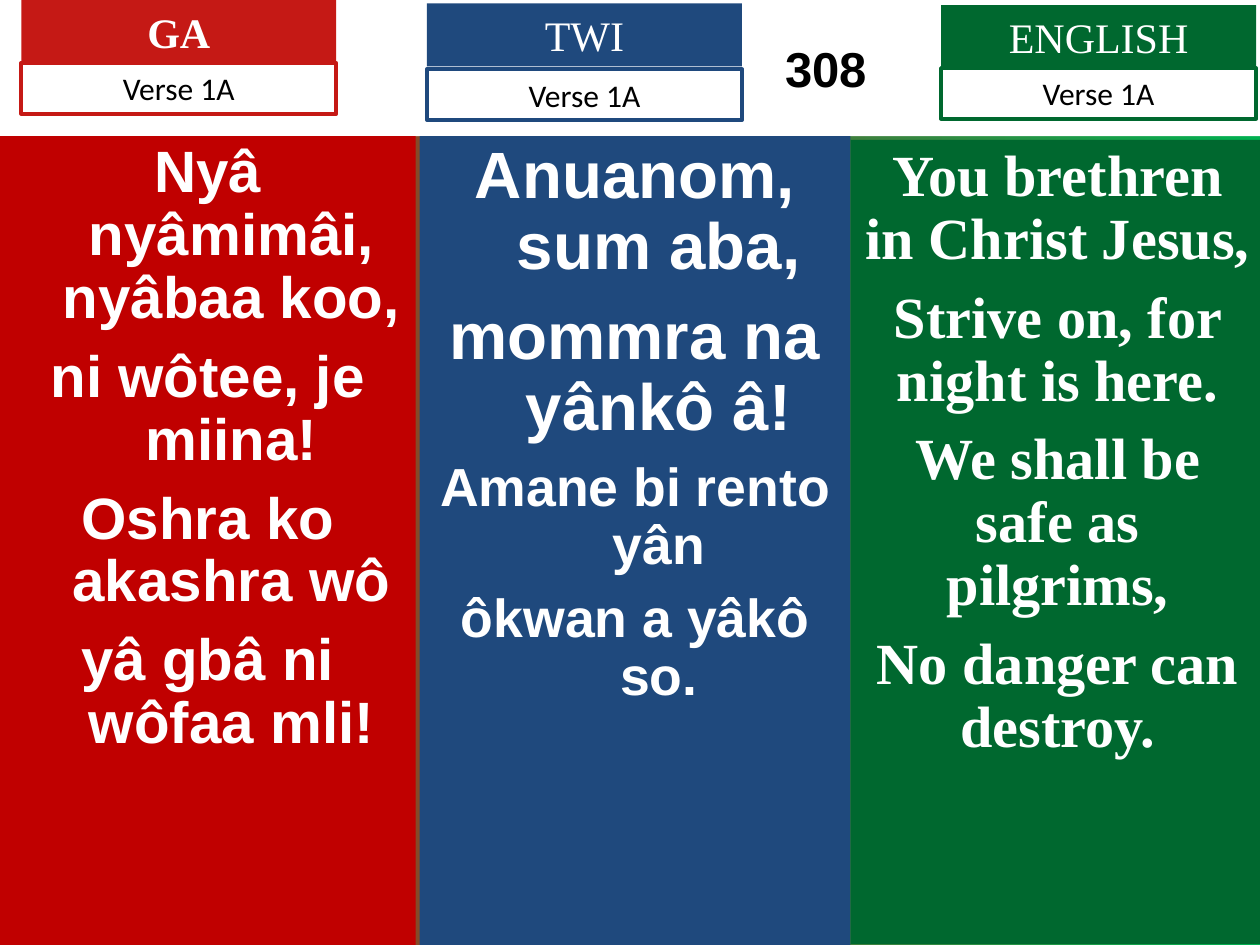
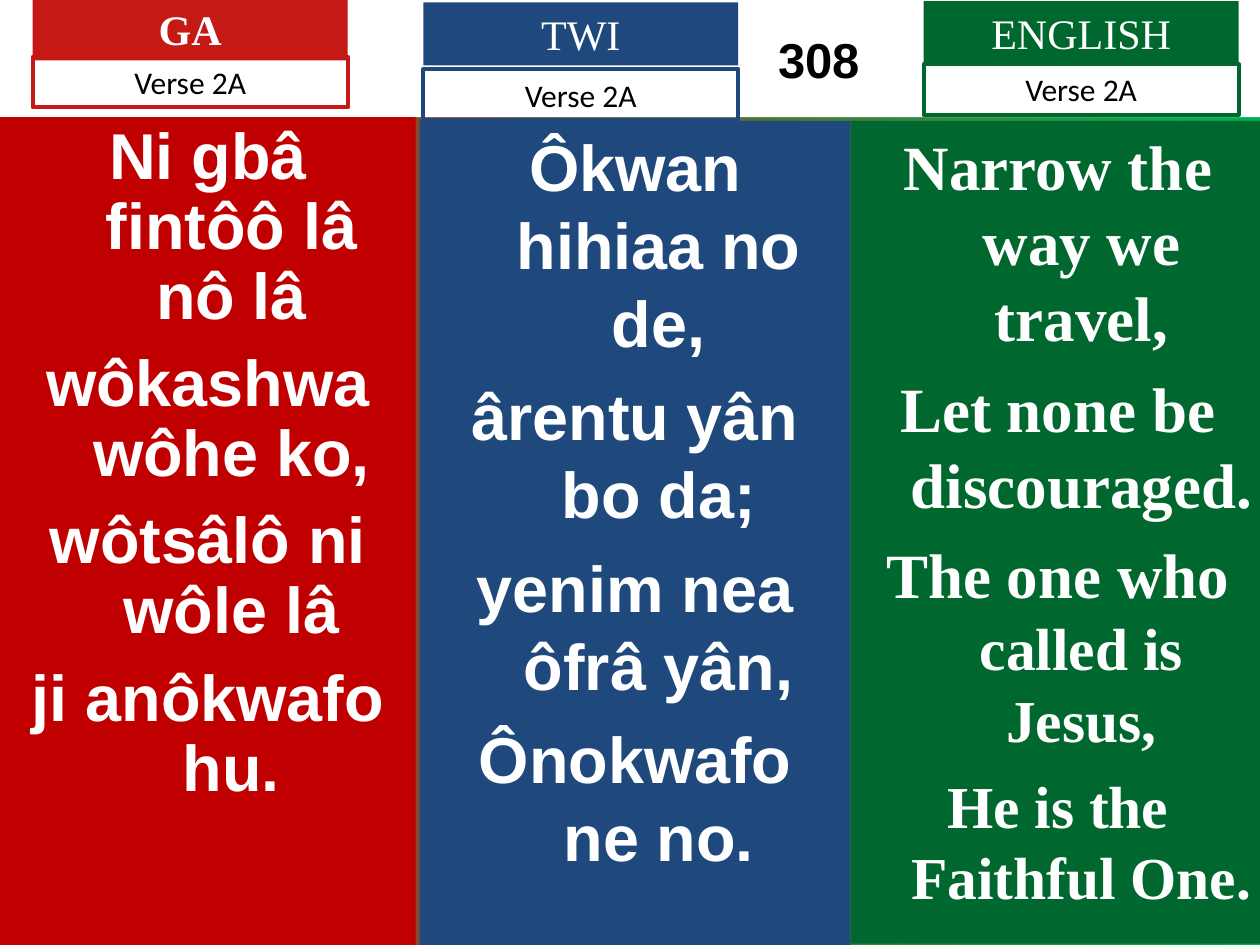
from pptx import Presentation
from pptx.dml.color import RGBColor
from pptx.enum.shapes import MSO_SHAPE
from pptx.enum.text import MSO_ANCHOR, PP_ALIGN
from pptx.util import Pt

RECTANGLE = MSO_SHAPE.RECTANGLE
TOP, MIDDLE = MSO_ANCHOR.TOP, MSO_ANCHOR.MIDDLE
CENTER = PP_ALIGN.CENTER

WHITE = RGBColor(0xFF, 0xFF, 0xFF)
BLACK = RGBColor(0x00, 0x00, 0x00)
SCARLET = RGBColor(0xC5, 0x19, 0x15)
CRIMSON = RGBColor(0xC0, 0x00, 0x00)
NAVY = RGBColor(0x1F, 0x49, 0x7D)
FOREST = RGBColor(0x00, 0x68, 0x2F)
LEAF = RGBColor(0x00, 0xB0, 0x50)

SLIDE_WIDTH, SLIDE_HEIGHT = 720, 540
HEADER_WIDTH, HEADER_HEIGHT, LABEL_HEIGHT = 180, 36, 29
HANG = 27
HYMN_NUMBER = "308"

LANGUAGES = [
    dict(name="GA", header=SCARLET, panel=CRIMSON, font="Arial",
         left=0, width=237.6, bottom=540, bold_name=True),
    dict(name="TWI", header=NAVY, panel=NAVY, font="Arial",
         left=239.8, width=246.2, bottom=540, bold_name=False),
    dict(name="ENGLISH", header=FOREST, panel=FOREST, font="Times New Roman",
         left=486, width=236.9, bottom=539.3, bold_name=False),
]

VERSES = [
    dict(
        label="Verse 1A", band_height=77.8, number_indent=224,
        columns=[
            dict(header_at=(12.2, 0), label_top=36, top=77.8, spacing=0.9, hang=HANG,
                 lines=[(9, [("Nyâ nyâmimâi, nyâbaa koo,", 33.3)]),
                        (9, [("ni wôtee, je miina!", 33.3)]),
                        (9, [("Oshra ko akashra wô", 33.3)]),
                        (9, [("yâ gbâ ni wôfaa mli!", 33.3)])]),
            dict(header_at=(244, 2), label_top=39.6, top=77.8, spacing=0.9, hang=HANG,
                 lines=[(11, [("Anuanom, sum aba,", 37.4)]),
                        (11, [("mommra na yânkô â!", 37.4)]),
                        (9, [("Amane bi rento yân", 30.6)]),
                        (9, [("ôkwan a yâkô so.", 30.6)])]),
            dict(header_at=(537.8, 2.9), label_top=38.9, top=79.9, spacing=0.9, hang=0,
                 lines=[(9, [("You brethren in Christ Jesus,", 33.3)]),
                        (9, [("Strive on, for night is here.", 33.3)]),
                        (9, [("We shall be safe as pilgrims,", 33.3)]),
                        (9, [("No danger can destroy.", 33.3)])]),
        ],
    ),
    dict(
        label="Verse 2A", band_height=67, number_indent=216,
        columns=[
            dict(header_at=(18.7, -1.4), label_top=32.4, top=67, spacing=0.9, hang=HANG,
                 lines=[(10, [("Ni gbâ fintôô lâ nô lâ", 37)]),
                        (10, [("wôkashwa wôhe ko,", 37)]),
                        (10, [("wôtsâlô ni wôle lâ", 37)]),
                        (10, [("ji anôkwafo hu.", 37)])]),
            dict(header_at=(241.9, 1.4), label_top=39.6, top=69.1, spacing=1.0, hang=HANG,
                 lines=[(9.2, [("Ôkwan hihiaa no de,", 37)]),
                        (9.2, [("ârentu yân bo da;", 37)]),
                        (9.2, [("yenim nea ôfrâ yân,", 37)]),
                        (9.2, [("Ônokwafo ne no.", 37)])]),
            dict(header_at=(527.8, 0.7), label_top=36.7, top=69.1, spacing=1.0, hang=HANG,
                 lines=[(9, [("Narrow the way we travel,", 36)]),
                        (9, [("Let none be discouraged.", 36)]),
                        (8.5, [("The one who ", 36), ("called is Jesus,", 34)]),
                        (8.5, [("He is the Faithful One.", 34)])]),
        ],
    ),
]


def add_box(slide, left, top, width, height, fill=None, line=None):
    box = slide.shapes.add_shape(RECTANGLE, Pt(left), Pt(top), Pt(width), Pt(height))
    box.shadow.inherit = False
    if fill is None:
        box.fill.background()
    else:
        box.fill.solid()
        box.fill.fore_color.rgb = fill
    if line is None:
        box.line.fill.background()
    else:
        box.line.color.rgb = line
        box.line.width = Pt(2.25)
    return box


def write(box, lines, font, color=WHITE, bold=False, spacing=1.0, hang=0,
          anchor=TOP, indent=7.2, right=7.2):
    frame = box.text_frame
    frame.word_wrap = True
    frame.vertical_anchor = anchor
    frame.margin_left, frame.margin_right = Pt(indent), Pt(right)
    frame.margin_top = frame.margin_bottom = Pt(3.6)
    for index, (space_before, pieces) in enumerate(lines):
        paragraph = frame.paragraphs[0] if index == 0 else frame.add_paragraph()
        paragraph.alignment = CENTER
        paragraph.line_spacing = spacing
        paragraph.space_before = Pt(space_before if index else 0)
        if hang:
            properties = paragraph._p.get_or_add_pPr()
            properties.set("marL", str(Pt(hang)))
            properties.set("indent", str(-Pt(hang)))
        for text, size in pieces:
            run = paragraph.add_run()
            run.text = text
            run.font.name = font
            run.font.size = Pt(size)
            run.font.bold = bold
            run.font.color.rgb = color


def paint_background(slide):
    fill = slide.background.fill
    fill.gradient()
    fill.gradient_angle = 0
    for stop, position, color in zip(fill.gradient_stops, (0, 1), (SCARLET, LEAF)):
        stop.position = position
        stop.color.rgb = color


def add_column(slide, language, column, label):
    panel = add_box(slide, language["left"], column["top"], language["width"],
                    language["bottom"] - column["top"], fill=language["panel"])
    write(panel, column["lines"], language["font"], bold=True,
          spacing=column["spacing"], hang=column["hang"])

    left, top = column["header_at"]
    header = add_box(slide, left, top, HEADER_WIDTH, HEADER_HEIGHT, fill=language["header"])
    write(header, [(0, [(language["name"], 24)])], "Times New Roman",
          bold=language["bold_name"])

    verse_label = add_box(slide, left, column["label_top"], HEADER_WIDTH, LABEL_HEIGHT,
                          line=language["header"])
    write(verse_label, [(0, [(label, 18)])], "Calibri", color=BLACK)


def add_verse(deck, verse):
    slide = deck.slides.add_slide(deck.slide_layouts[6])
    paint_background(slide)
    band = add_box(slide, 0, 0, SLIDE_WIDTH, verse["band_height"], fill=WHITE)
    write(band, [(0, [(HYMN_NUMBER, 28)])], "Arial", color=BLACK, bold=True,
          anchor=MIDDLE, indent=verse["number_indent"], right=0)
    for language, column in zip(LANGUAGES, verse["columns"]):
        add_column(slide, language, column, verse["label"])


def main():
    deck = Presentation()
    deck.slide_width, deck.slide_height = Pt(SLIDE_WIDTH), Pt(SLIDE_HEIGHT)
    for verse in VERSES:
        add_verse(deck, verse)
    deck.save("out.pptx")


if __name__ == "__main__":
    main()
